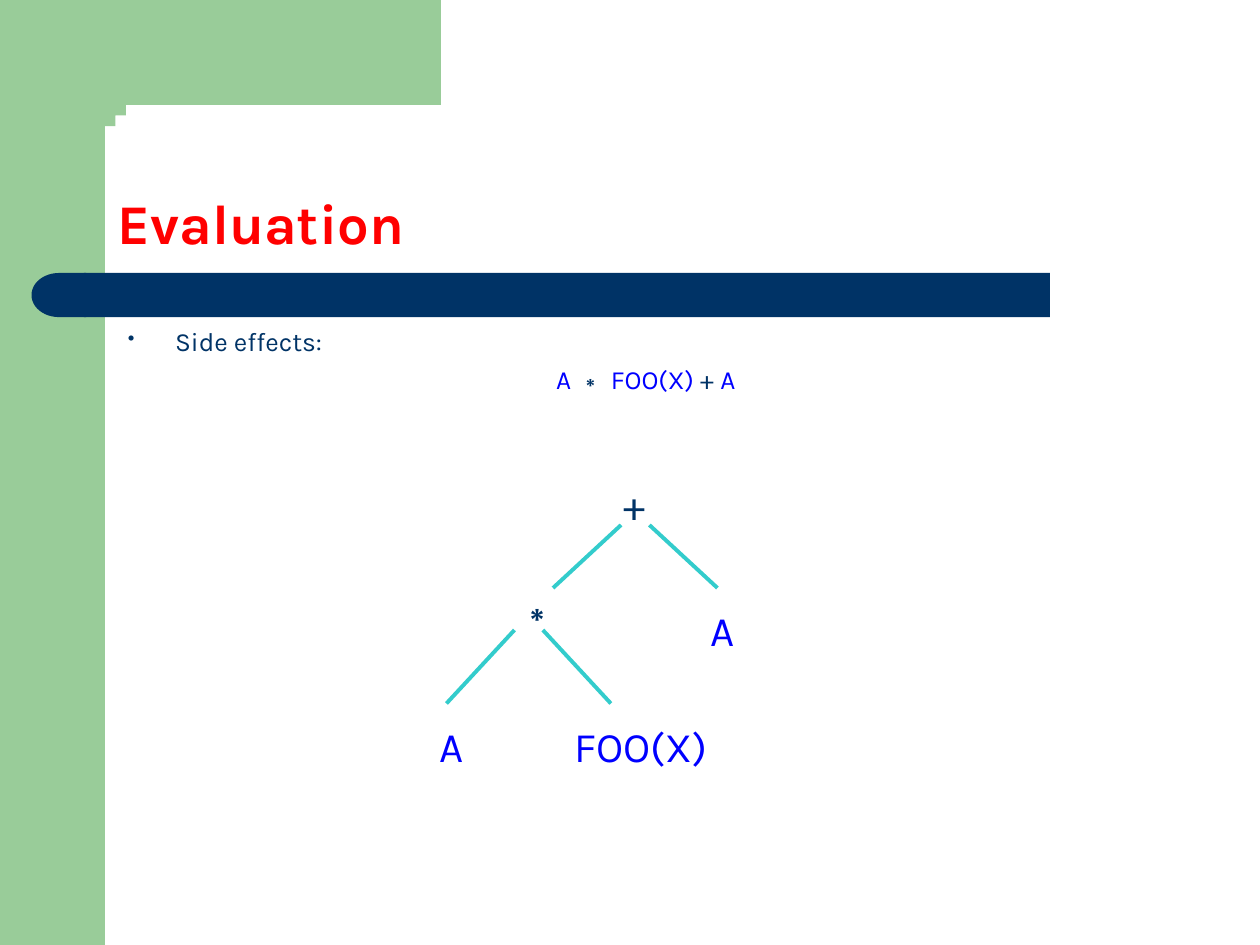
import math
from dataclasses import dataclass
from lxml import etree
from pptx import Presentation
from pptx import util as u
from pptx.dml.color import RGBColor
from pptx.enum import shapes, text
from pptx.oxml.ns import qn


@dataclass
class Theme:
    """Colours, fonts and type sizes of the slide."""
    green: str = "99CC99"
    navy: str = "003366"
    red: str = "FF0000"
    blue: str = "0000FF"
    teal: str = "33CCCC"
    font: str = "Karla"
    sign: str = "Arial"
    head: float = 32
    body: float = 15
    node: float = 24
    edge: float = 2.25


def cell(n):
    """Turn grid cells, twelve to the inch, into a length."""
    return u.Inches(n / 12)


class Board:
    """Draws styled elements on a slide with a grid of 120 by 90 cells."""

    def __init__(self, deck, theme):
        """Add a blank slide to the deck."""
        self.theme = theme
        self.slide = deck.slides.add_slide(deck.slide_layouts[6])
        self.items = self.slide.shapes

    def paint(self, item, color):
        """Give a shape a flat fill without line or shadow."""
        item.shadow.inherit = False
        item.fill.solid()
        item.fill.fore_color.rgb = RGBColor.from_string(color)
        item.line.fill.background()
        return item

    def block(self, kind, color, x, y, w, h):
        """Add a filled preset shape."""
        item = self.items.add_shape(kind, *map(cell, (x, y, w, h)))
        return self.paint(item, color)

    def outline(self, color, points):
        """Add a filled closed polygon."""
        pen = self.items.build_freeform(*points[0], scale=u.Inches(1) / 12)
        pen.add_line_segments(points[1:], close=True)
        return self.paint(pen.convert_to_shape(), color)

    def box(self, x, y, w, h, anchor=text.MSO_ANCHOR.TOP):
        """Add a wrapping text box and return its frame."""
        frame = self.items.add_textbox(*map(cell, (x, y, w, h))).text_frame
        frame.word_wrap = True
        frame.vertical_anchor = anchor
        return frame

    def run(self, para, words, size, color, font=None, bold=False):
        """Add one run of text to a paragraph."""
        run = para.add_run()
        run.text = words
        run.font.size = u.Pt(size)
        run.font.name = font or self.theme.font
        run.font.bold = bold
        run.font.color.rgb = RGBColor.from_string(color)

    def bullet(self, para, indent):
        """Give a paragraph a hanging round bullet."""
        props = para._p.get_or_add_pPr()
        props.set("marL", str(cell(indent)))
        props.set("indent", str(-cell(indent)))
        tint = etree.SubElement(props, qn("a:buClr"))
        etree.SubElement(tint, qn("a:srgbClr"), val=self.theme.navy)
        etree.SubElement(props, qn("a:buSzPct"), val="75000")
        etree.SubElement(props, qn("a:buChar"), char="\u2022")

    def node(self, words, x, y, color, font=None, w=4.7):
        """Add one label of the tree."""
        para = self.box(x, y, w, 6).paragraphs[0]
        self.run(para, words, self.theme.node, color, font)

    def fork(self, mid, top, low):
        """Add the two mirrored edges below a node."""
        for side in (-1, 1):
            ends = (mid + side * 1.35, top, mid + side * 7.83, low)
            edge = self.items.add_connector(
                shapes.MSO_CONNECTOR.STRAIGHT, *map(cell, ends))
            edge.line.width = u.Pt(self.theme.edge)
            edge.line.color.rgb = RGBColor.from_string(self.theme.teal)
            etree.SubElement(edge._element.spPr, qn("a:effectLst"))


def frame(board):
    """Draw the green border and the navy bar."""
    t, kind = board.theme, shapes.MSO_SHAPE
    board.block(kind.RECTANGLE, t.green, 0, 0, 10, 90)
    turns = [math.radians(a) for a in range(90, 181, 6)]
    curve = [(13.4 + 3.4 * math.cos(a), 14 - 4 * math.sin(a)) for a in turns]
    board.outline(t.green, [(6, 0), (42, 0), (42, 10), *curve,
                            (10, 15.4), (6, 15.4)])
    board.block(kind.RECTANGLE, t.navy, 8, 26, 92, 4.2)
    cap = board.block(kind.FLOWCHART_DELAY, t.navy, 3, 26, 5.2, 4.2)
    cap._element.spPr.find(qn("a:xfrm")).set("flipH", "1")


def words(board):
    """Write the title, the bullet and the expression."""
    t = board.theme
    title = board.box(10, 10, 104, 15, text.MSO_ANCHOR.BOTTOM).paragraphs[0]
    title.line_spacing = 0.9
    board.run(title, "Evaluation", t.head, t.red, bold=True)

    body = board.box(11, 31, 101, 14.5)
    point = body.paragraphs[0]
    point.line_spacing = 0.8
    board.bullet(point, 4.5)
    board.run(point, "Side effects:", t.body, t.navy)

    term = body.add_paragraph()
    term.line_spacing = 0.8
    term.space_before = u.Pt(7)
    term.alignment = text.PP_ALIGN.CENTER
    for part, color, font in (("A ", t.blue, t.font),
                              ("\u2217 ", t.navy, t.sign),
                              ("FOO(X)", t.blue, t.font),
                              (" + ", t.navy, t.font),
                              ("A", t.blue, t.font)):
        board.run(term, part, t.body, color, font)


def tree(board):
    """Draw the expression tree."""
    t = board.theme
    board.node("+", 58.2, 45, t.navy)
    board.node("\u2217", 48, 55, t.navy, t.sign)
    board.node("A", 66.5, 57, t.blue)
    board.node("A", 40.7, 68, t.blue)
    board.node("FOO(X)", 53.5, 68, t.blue, w=16.4)
    board.fork(60.5, 50, 56)
    board.fork(50.35, 60, 67)


deck = Presentation()
deck.slide_width, deck.slide_height = cell(120), cell(90)
board = Board(deck, Theme())
frame(board)
words(board)
tree(board)
deck.save("out.pptx")
